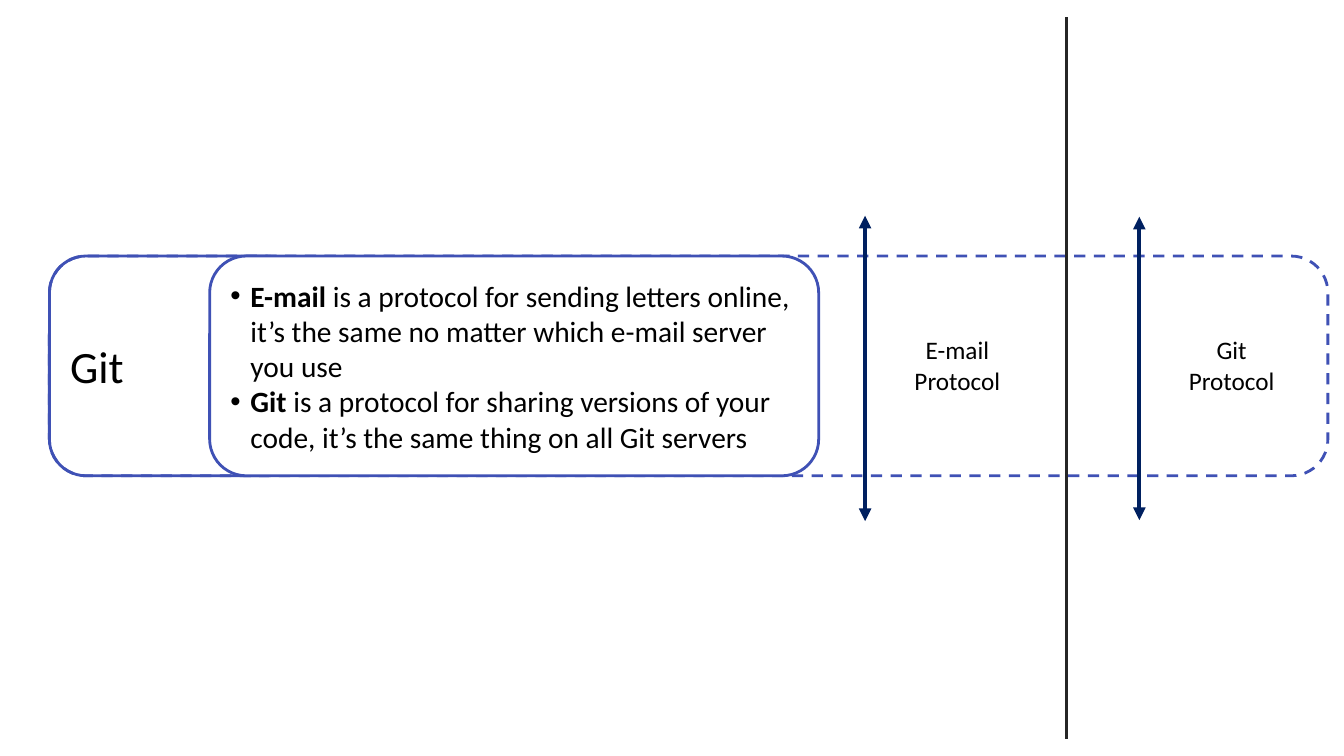
from pptx import Presentation
from pptx.dml.color import RGBColor
from pptx.enum.dml import MSO_LINE
from pptx.enum.shapes import MSO_CONNECTOR, MSO_SHAPE
from pptx.enum.text import MSO_ANCHOR, MSO_AUTO_SIZE, PP_ALIGN
from pptx.oxml.ns import qn
from pptx.util import Inches, Pt
from lxml import etree

ROUND = MSO_SHAPE.ROUNDED_RECTANGLE
STRAIGHT = MSO_CONNECTOR.STRAIGHT
DASH = MSO_LINE.DASH
LEFT, CENTER = PP_ALIGN.LEFT, PP_ALIGN.CENTER
MIDDLE = MSO_ANCHOR.MIDDLE
GROW = MSO_AUTO_SIZE.SHAPE_TO_FIT_TEXT

BLACK = RGBColor(0x00, 0x00, 0x00)
WHITE = RGBColor(0xFF, 0xFF, 0xFF)
INDIGO = RGBColor(0x3F, 0x51, 0xB5)
NAVY = RGBColor(0x00, 0x20, 0x60)
GRAY = RGBColor(0x26, 0x26, 0x26)

# A paragraph is a pair: bold lead, plain rest
TOPIC = [("", "Git")]
POINTS = [
    ("E-mail ", "is a protocol for sending letters online, it’s the same "
                "no matter which e-mail server you use"),
    ("Git ", "is a protocol for sharing versions of your code, "
             "it’s the same thing on all Git servers"),
]
# Left edge of each label and its paragraphs
LABELS = [
    (8.87, [("", "E-mail Protocol")]),
    (11.59, [("", "Git"), ("", "Protocol")]),
]
# x, top, bottom, colour, width, arrowheads
LINES = [
    (10.58, 0.17, 7.33, GRAY, 2.25, False),
    (8.58, 2.14, 5.17, NAVY, 3, True),
    (11.3, 2.15, 5.16, NAVY, 3, True),
]
BAND_TOP, BAND_HIGH = 2.54, 2.18


def write(frame, paras, size=18, align=LEFT, bullet=False):
    frame.word_wrap = True
    for i, parts in enumerate(paras):
        para = frame.add_paragraph() if i else frame.paragraphs[0]
        para.alignment = align
        if bullet:
            props = para._p.get_or_add_pPr()
            props.set("marL", str(Inches(0.2)))
            props.set("indent", str(-Inches(0.2)))
            etree.SubElement(props, qn("a:buFont")).set("typeface", "Arial")
            etree.SubElement(props, qn("a:buChar")).set("char", "•")
        for bold, text in zip((True, False), parts):
            if text:
                run = para.add_run()
                run.text = text
                font = run.font
                font.name, font.size, font.bold = "Calibri", Pt(size), bold
                font.color.rgb = BLACK


def add_band(slide, left, width, fill=None, dash=None):
    band = slide.shapes.add_shape(ROUND, Inches(left), Inches(BAND_TOP),
                                  Inches(width), Inches(BAND_HIGH))
    band.shadow.inherit = False
    if fill is None:
        band.fill.background()
    else:
        band.fill.solid()
        band.fill.fore_color.rgb = fill
    band.line.color.rgb = INDIGO
    band.line.width = Pt(2)
    if dash:
        band.line.dash_style = dash
    band.text_frame.vertical_anchor = MIDDLE
    return band.text_frame


def add_line(slide, x, top, bottom, color, width, arrows):
    line = slide.shapes.add_connector(STRAIGHT, Inches(x), Inches(top),
                                      Inches(x), Inches(bottom))
    line.line.color.rgb = color
    line.line.width = Pt(width)
    if arrows:
        for end in ("a:headEnd", "a:tailEnd"):
            etree.SubElement(line.line._get_or_add_ln(),
                             qn(end)).set("type", "triangle")
    etree.SubElement(line._element.spPr, qn("a:effectLst"))


def main():
    deck = Presentation()
    deck.slide_width, deck.slide_height = Inches(13.33), Inches(7.5)
    slide = deck.slides.add_slide(deck.slide_layouts[6])

    add_band(slide, 0.49, 12.68, fill=WHITE, dash=DASH)
    write(add_band(slide, 0.49, 2.51), TOPIC, size=32)
    write(add_band(slide, 2.08, 6.04, fill=WHITE), POINTS, size=21,
          bullet=True)

    for left, paras in LABELS:
        box = slide.shapes.add_textbox(Inches(left), Inches(3.27),
                                       Inches(1.25), Inches(0.71))
        write(box.text_frame, paras, align=CENTER)
        box.text_frame.auto_size = GROW

    for line in LINES:
        add_line(slide, *line)

    deck.save("out.pptx")


if __name__ == "__main__":
    main()
